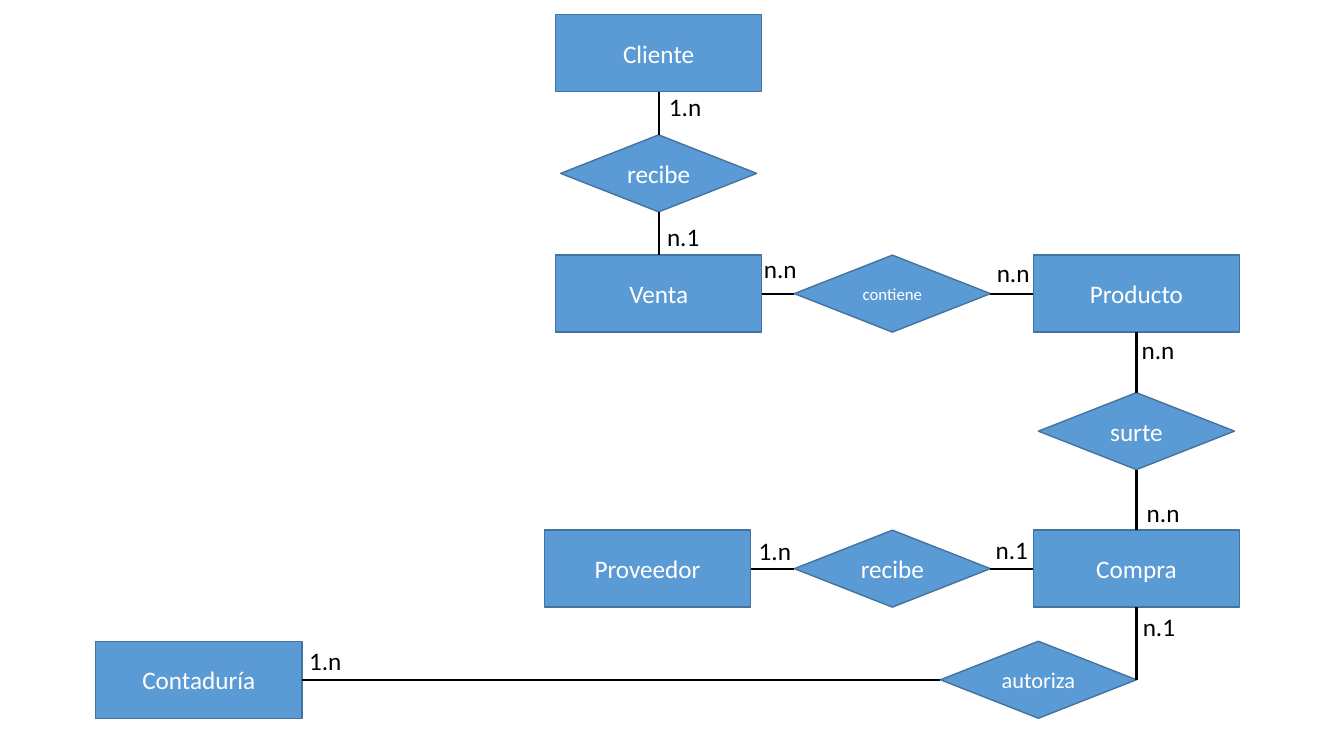
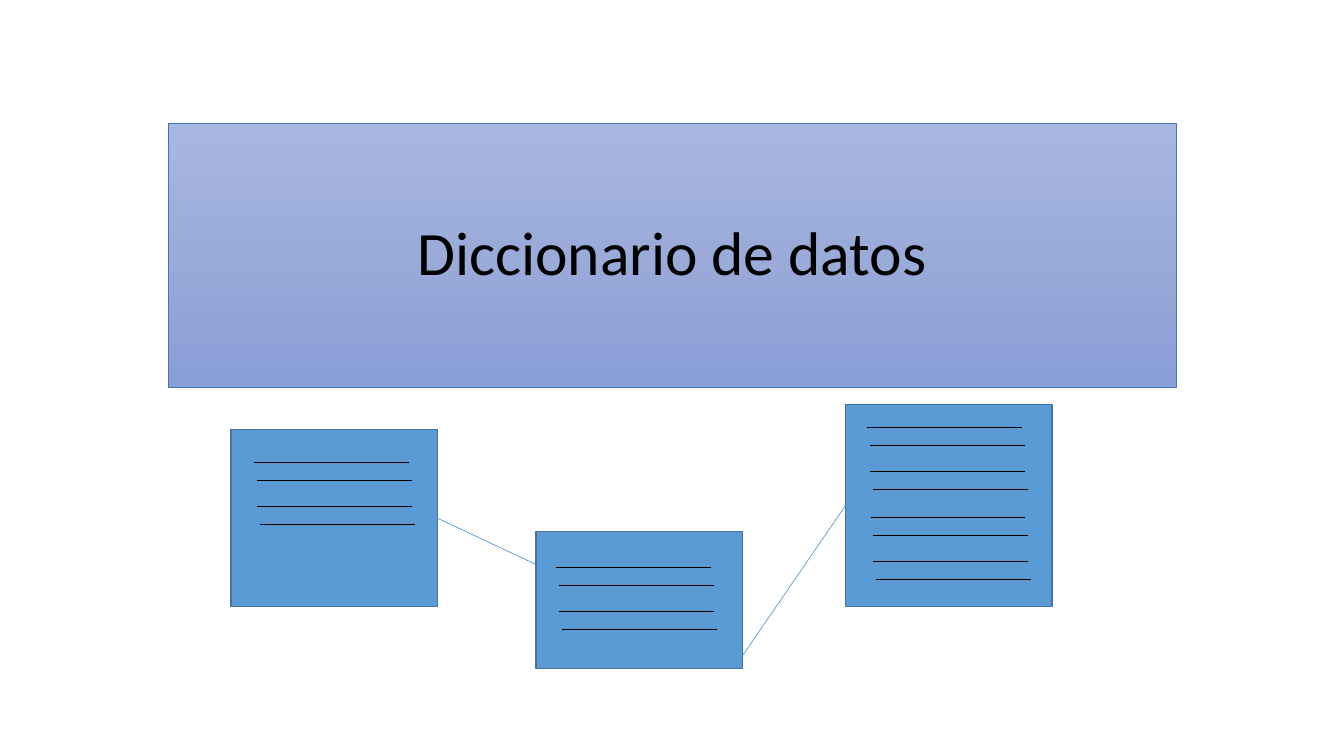
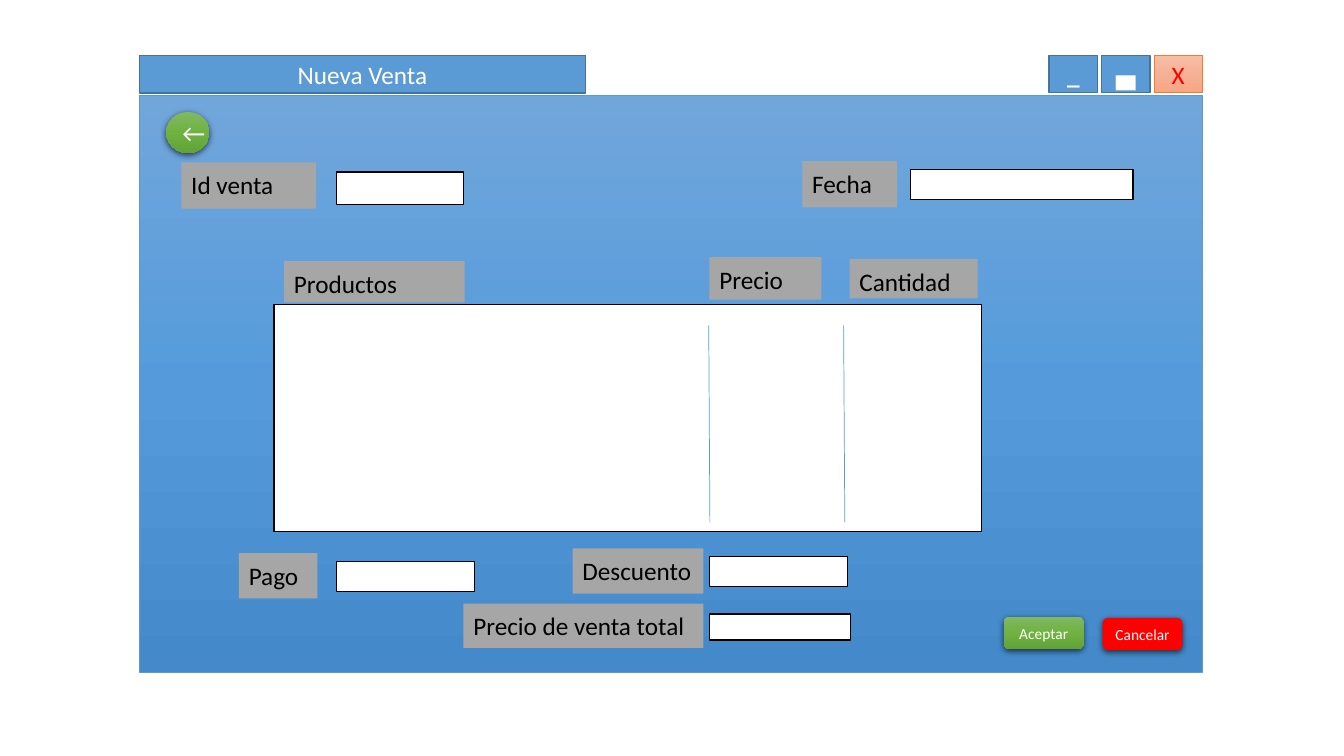
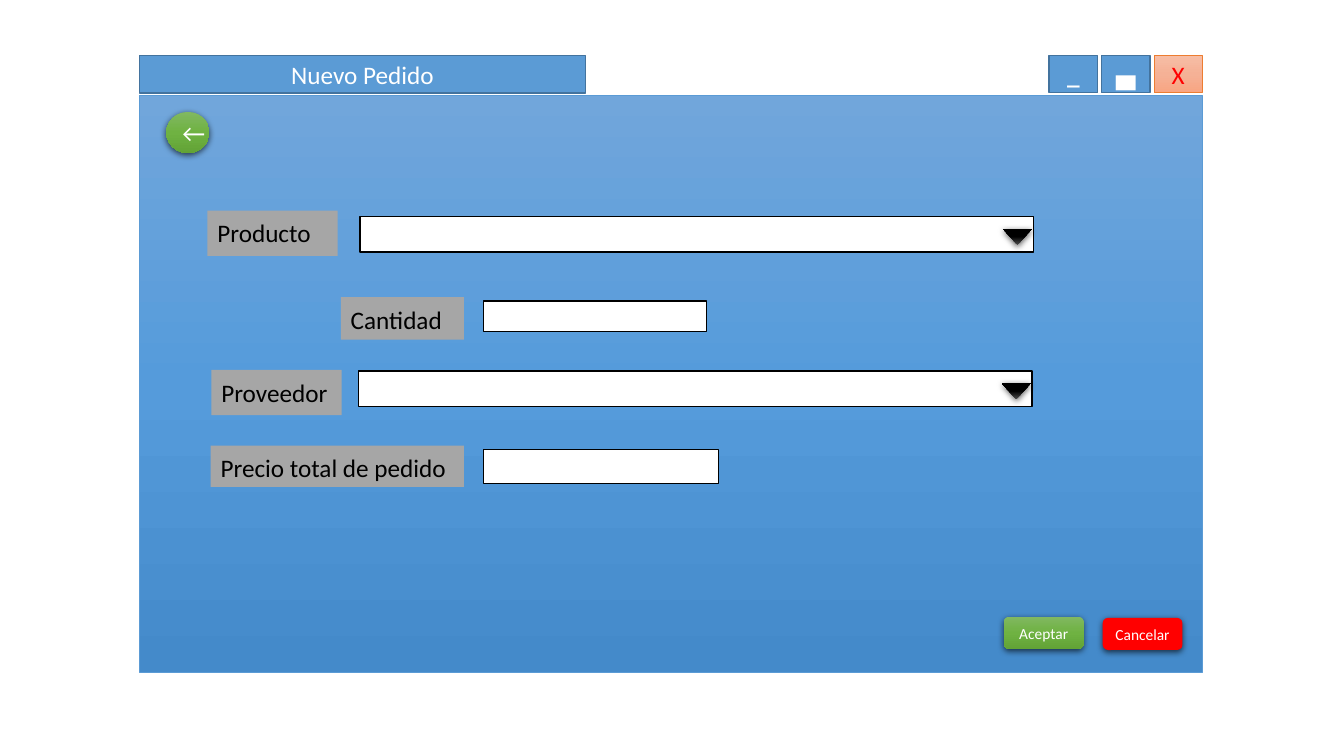
from copy import deepcopy

from pptx import Presentation
from pptx.dml.color import RGBColor
from pptx.enum.shapes import MSO_CONNECTOR, MSO_SHAPE
from pptx.enum.text import MSO_ANCHOR, MSO_AUTO_SIZE, PP_ALIGN
from pptx.oxml import parse_xml
from pptx.oxml.ns import nsdecls, qn
from pptx.util import Cm, Pt

RECTANGLE, ROUNDED = MSO_SHAPE.RECTANGLE, MSO_SHAPE.ROUNDED_RECTANGLE
DIAMOND, OVAL, TRIANGLE = MSO_SHAPE.DIAMOND, MSO_SHAPE.OVAL, MSO_SHAPE.ISOSCELES_TRIANGLE
STRAIGHT = MSO_CONNECTOR.STRAIGHT
LEFT, CENTER = PP_ALIGN.LEFT, PP_ALIGN.CENTER
TOP_ANCHOR, MIDDLE = MSO_ANCHOR.TOP, MSO_ANCHOR.MIDDLE
TITLE_ONLY, BLANK = 5, 6
TOP, LEFT_SIDE, BOTTOM, RIGHT_SIDE = range(4)  # connection sites

FONT = "Calibri"
COLORS = {
    "blue": "5B9BD5", "blue_line": "43739E", "title_line": "4472C4",
    "orange": "ED7D31", "red": "FF0000", "gray": "A6A6A6",
    "black": "000000", "white": "FFFFFF",
}
# Vertical gradients, from top to bottom
GRADIENTS = {
    "title": ("A8B7DF", "9AABD9", "889ED7"),
    "panel": ("71A6DB", "559BDB", "448ACA"),
    "close": ("F7BDA5", "F5B196", "F8A582"),
    "green": ("81B861", "6FB242", "62A336"),
    "arrow": ("4B4B4B", "000000", "000000"),
}

BOX_WIDTH, DIAMOND_WIDTH, NODE_HEIGHT = 5.2, 4.94, 1.94


def rgb(name):
    return RGBColor.from_string(COLORS[name])


# Formatting
def paint(shape, fill, line=None, line_width=1):
    """Fill with a colour or a gradient and outline, if a line colour is given."""
    if fill in GRADIENTS:
        shape.fill.gradient()
        shape.fill.gradient_angle = 270
        stops = shape._element.spPr.find(qn("a:gradFill")).find(qn("a:gsLst"))
        stops.insert(1, deepcopy(stops[0]))
        for index, (stop, color) in enumerate(zip(shape.fill.gradient_stops, GRADIENTS[fill])):
            stop.position = index / 2
            stop.color.rgb = RGBColor.from_string(color)
    else:
        shape.fill.solid()
        shape.fill.fore_color.rgb = rgb(fill)
    if line:
        shape.line.color.rgb = rgb(line)
        shape.line.width = Pt(line_width)
    else:
        shape.line.fill.background()


def write(shape, text, size=18, color="white", align=CENTER, anchor=MIDDLE,
          bold=False, spacing=None, after=None):
    frame = shape.text_frame
    frame.text = text
    frame.vertical_anchor = anchor
    paragraph = frame.paragraphs[0]
    paragraph.alignment = align
    paragraph.line_spacing = spacing
    if after:
        paragraph.space_after = Pt(after)
    font = paragraph.font
    font.name, font.size, font.bold = FONT, Pt(size), bold
    font.color.rgb = rgb(color)


def add_soft_shadow(shape):
    effects = shape._element.spPr.find(qn("a:effectLst"))
    effects.append(parse_xml(
        f'<a:outerShdw {nsdecls("a")} blurRad="57150" dist="19050" dir="5400000" '
        'algn="ctr" rotWithShape="0"><a:srgbClr val="000000">'
        '<a:alpha val="63000"/></a:srgbClr></a:outerShdw>'))


# Elements
def add_shape(slide, kind, left, top, width, height, fill="blue", line="blue_line", line_width=1):
    shape = slide.shapes.add_shape(kind, Cm(left), Cm(top), Cm(width), Cm(height))
    shape.shadow.inherit = False
    paint(shape, fill, line, line_width)
    return shape


def add_line(slide, start=(0, 0), end=(0, 0), color="black", width=0.5):
    line = slide.shapes.add_connector(STRAIGHT, *(Cm(value) for value in (*start, *end)))
    line.line.color.rgb = rgb(color)
    line.line.width = Pt(width)
    line._element.spPr.append(parse_xml(f'<a:effectLst {nsdecls("a")}/>'))
    return line


def set_title(slide, text, left, top, width, height, size, fill, line, line_width, spacing=None):
    title = slide.shapes.title
    title.left, title.top, title.width, title.height = map(Cm, (left, top, width, height))
    paint(title, fill, line, line_width)
    title.text_frame.auto_size = MSO_AUTO_SIZE.NONE
    write(title, text, size, "black" if fill in GRADIENTS else "white", spacing=spacing)


def add_node(slide, kind, text, center, middle, size=18):
    width = DIAMOND_WIDTH if kind == DIAMOND else BOX_WIDTH
    node = add_shape(slide, kind, center - width / 2, middle - NODE_HEIGHT / 2, width, NODE_HEIGHT)
    write(node, text, size)
    return node


def add_cardinality(slide, text, left, top):
    box = slide.shapes.add_textbox(Cm(left), Cm(top), Cm(1.35), Cm(1.02))
    box.text_frame.word_wrap = False
    box.text_frame.auto_size = MSO_AUTO_SIZE.SHAPE_TO_FIT_TEXT
    write(box, text, color="black", align=LEFT, anchor=TOP_ANCHOR)


def add_text_lines(slide, left, top):
    """A group of four slightly stepped lines."""
    for shift, drop in ((0, 0), (0.07, 0.45), (0.07, 1.11), (0.14, 1.56)):
        start = left + shift
        add_line(slide, (start, top + drop), (start + 3.9, top + drop))


def add_label(slide, text, left, top, width, height):
    label = add_shape(slide, RECTANGLE, left, top, width, height, "gray", None)
    write(label, text, color="black", align=LEFT, anchor=TOP_ANCHOR, spacing=1.07, after=8)


def add_field(slide, left, top, width, height):
    add_shape(slide, RECTANGLE, left, top, width, height, "white", "black")


def add_dropdown(slide, left, top):
    add_field(slide, left, top, 16.97, 0.89)
    arrow = add_shape(slide, TRIANGLE, left + 16.2, top + 0.3, 0.74, 0.41, "arrow", None)
    arrow.rotation = 180
    add_soft_shadow(arrow)


def add_button(slide, kind, text, left, top, width, height, fill, **style):
    button = add_shape(slide, kind, left, top, width, height, fill, None)
    add_soft_shadow(button)
    write(button, text, **style)


def add_window(presentation, title):
    """A slide with the window frame that both forms share."""
    slide = presentation.slides.add_slide(presentation.slide_layouts[TITLE_ONLY])
    set_title(slide, title, 3.51, 1.4, 11.25, 0.94, 18, "blue", "blue_line", 1)
    add_shape(slide, RECTANGLE, 3.51, 2.41, 26.8, 14.53, "panel", "blue", 0.5)
    controls = (
        ("_", "white", True, ("blue", "blue_line", 1)),
        ("▄", "white", False, ("blue", "blue_line", 1)),
        ("X", "red", False, ("close", "orange", 0.5)),
    )
    for index, (text, color, bold, look) in enumerate(controls):
        control = add_shape(slide, RECTANGLE, 26.44 + index * 1.32, 1.4, 1.22, 0.94, *look)
        write(control, text, color=color, bold=bold)
    add_button(slide, OVAL, "←", 4.19, 2.82, 1.09, 1.04, "green")
    for text, left, top, fill in (("Aceptar", 25.3, 15.54, "green"),
                                  ("Cancelar", 27.79, 15.57, "red")):
        add_button(slide, ROUNDED, text, left, top, 2.01, 0.81, fill,
                   size=11, spacing=1.07, after=8)
    return slide


# Slides
def build_entity_diagram(presentation):
    slide = presentation.slides.add_slide(presentation.slide_layouts[BLANK])
    sale_x, middle_x, product_x = 16.6, 22.49, 28.64
    client_y, sale_y, purchase_y, accounting_y = 1.34, 7.4, 14.33, 17.13
    nodes = {
        name: add_node(slide, kind, *details)
        for name, kind, *details in (
            ("client", RECTANGLE, "Cliente", sale_x, client_y),
            ("sale", RECTANGLE, "Venta", sale_x, sale_y),
            ("product", RECTANGLE, "Producto", product_x, sale_y),
            ("purchase", RECTANGLE, "Compra", product_x, purchase_y),
            ("supplier", RECTANGLE, "Proveedor", 16.32, purchase_y),
            ("accounting", RECTANGLE, "Contaduría", 5.01, accounting_y),
            ("receives", DIAMOND, "recibe", sale_x, (client_y + sale_y) / 2),
            ("contains", DIAMOND, "contiene", middle_x, sale_y, 12),
            ("supplies", DIAMOND, "surte", product_x, (sale_y + purchase_y) / 2),
            ("orders", DIAMOND, "recibe", middle_x, purchase_y),
            ("authorizes", DIAMOND, "autoriza", product_x - DIAMOND_WIDTH / 2, accounting_y, 16),
        )
    }
    for start, start_site, end, end_site in (
        ("client", BOTTOM, "receives", TOP),
        ("receives", BOTTOM, "sale", TOP),
        ("sale", RIGHT_SIDE, "contains", LEFT_SIDE),
        ("contains", RIGHT_SIDE, "product", LEFT_SIDE),
        ("product", BOTTOM, "supplies", TOP),
        ("supplies", BOTTOM, "purchase", TOP),
        ("supplier", RIGHT_SIDE, "orders", LEFT_SIDE),
        ("orders", RIGHT_SIDE, "purchase", LEFT_SIDE),
        ("purchase", BOTTOM, "authorizes", RIGHT_SIDE),
        ("accounting", RIGHT_SIDE, "authorizes", LEFT_SIDE),
    ):
        line = add_line(slide, width=1.5)
        line.begin_connect(nodes[start], start_site)
        line.end_connect(nodes[end], end_site)
    for cardinality in (
        ("1.n", 16.61, 2.18), ("n.1", 16.56, 5.44),
        ("n.n", 19, 6.27), ("n.n", 24.87, 6.35),
        ("n.n", 28.52, 8.31), ("n.n", 28.65, 12.4),
        ("1.n", 18.87, 13.36), ("n.1", 24.84, 13.34),
        ("n.1", 28.55, 15.27), ("1.n", 7.54, 16.13),
    ):
        add_cardinality(slide, *cardinality)


def build_dictionary_cover(presentation):
    slide = presentation.slides.add_slide(presentation.slide_layouts[TITLE_ONLY])
    set_title(slide, "Diccionario de datos", 4.24, 3.12, 25.4, 6.63, 44,
              "title", "title_line", 0.5, spacing=0.9)
    first = add_shape(slide, RECTANGLE, 5.82, 10.82, BOX_WIDTH, 4.47)
    last = add_shape(slide, RECTANGLE, 21.31, 10.19, BOX_WIDTH, 5.09)
    # Links between the tables; the middle table covers their loose ends
    add_line(slide, end=(13.67, 14.3), color="blue").begin_connect(first, RIGHT_SIDE)
    add_line(slide, start=(18.72, 16.51), color="blue").end_connect(last, LEFT_SIDE)
    add_shape(slide, RECTANGLE, 13.51, 13.39, BOX_WIDTH, 3.45)
    for left, top in ((6.41, 11.65), (14.02, 14.3), (21.86, 10.78), (21.94, 13.03)):
        add_text_lines(slide, left, top)


def build_sale_form(presentation):
    slide = add_window(presentation, "Nueva Venta")
    for field in (
        (8.48, 4.34, 3.2, 0.81), (22.94, 4.27, 5.61, 0.76),
        (6.91, 7.67, 17.83, 5.72),  # product list
        (8.48, 14.15, 3.48, 0.76), (17.88, 14.02, 3.48, 0.76),
        (17.88, 15.47, 3.56, 0.66),
    ):
        add_field(slide, *field)
    for label in (
        ("Id venta", 4.57, 4.09, 3.4, 1.17),
        ("Fecha", 20.22, 4.06, 2.39, 1.17),
        ("Productos", 7.16, 6.58, 4.55, 1.04),
        ("Precio", 17.88, 6.48, 2.82, 1.07),
        ("Cantidad", 21.41, 6.53, 3.23, 0.99),
        ("Pago", 6.02, 13.94, 1.98, 1.14),
        ("Descuento", 14.43, 13.82, 3.3, 1.14),
        ("Precio de venta total", 11.68, 15.21, 6.05, 1.12),
    ):
        add_label(slide, *label)
    for left in (17.86, 21.26):
        add_line(slide, (left, 8.2), (left + 0.03, 13.16), "blue")


def build_order_form(presentation):
    slide = add_window(presentation, "Nuevo Pedido")
    add_dropdown(slide, 9.07, 5.46)
    add_dropdown(slide, 9.04, 9.35)
    add_field(slide, 12.19, 7.59, 5.61, 0.76)
    add_field(slide, 12.19, 11.33, 5.92, 0.86)
    for label in (
        ("Producto", 5.23, 5.31, 3.28, 1.14),
        ("Cantidad", 8.59, 7.49, 3.1, 1.07),
        ("Proveedor", 5.33, 9.32, 3.28, 1.14),
        ("Precio total de pedido", 5.31, 11.23, 6.38, 1.04),
    ):
        add_label(slide, *label)


def main():
    presentation = Presentation()
    presentation.slide_width, presentation.slide_height = Cm(33.87), Cm(19.05)
    build_entity_diagram(presentation)
    build_dictionary_cover(presentation)
    build_sale_form(presentation)
    build_order_form(presentation)
    presentation.save("out.pptx")


if __name__ == "__main__":
    main()
